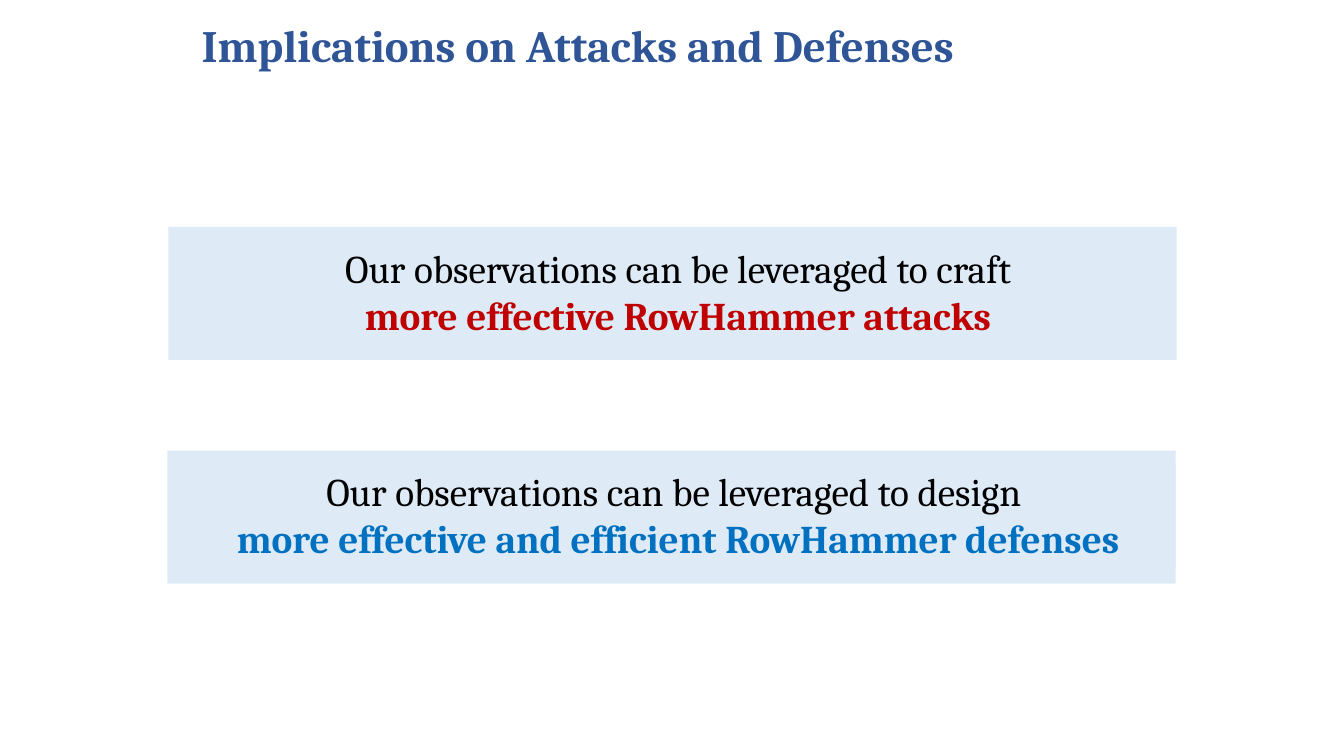
from pptx import Presentation
from pptx.dml.color import RGBColor
from pptx.enum.shapes import MSO_SHAPE as SHAPE
from pptx.enum.text import MSO_ANCHOR as ANCHOR, MSO_AUTO_SIZE as AUTO, PP_ALIGN as ALIGN
from pptx.util import Inches, Pt


def rgb(color):
    return RGBColor.from_string(color)


class SlideBuilder:
    FONT = "Cambria"
    PANEL = "DEEBF7"
    TITLE = "2F5597"
    TEXT = "000000"

    def __init__(self, prs):
        self.s = prs.slides.add_slide(prs.slide_layouts[5])

    def run(self, p, text, size, color, bold=False):
        r = p.add_run()
        r.text = text
        style = {"name": self.FONT, "size": Pt(size), "bold": bold}
        for name, value in style.items():
            setattr(r.font, name, value)
        r.font.color.rgb = rgb(color)

    def title(self, text, left, top, width, height):
        sp = self.s.shapes.title
        place = {"left": left, "top": top, "width": width, "height": height}
        for name, value in place.items():
            setattr(sp, name, Inches(value))
        tf = sp.text_frame
        frame = {"word_wrap": True, "auto_size": AUTO.NONE, "vertical_anchor": ANCHOR.MIDDLE}
        for name, value in frame.items():
            setattr(tf, name, value)
        p = tf.paragraphs[0]
        p.alignment = ALIGN.LEFT
        p.space_after = Pt(6)
        self.run(p, text, 32, self.TITLE, bold=True)

    def rect(self, group, left, top, width, height):
        sp = group.shapes.add_shape(SHAPE.RECTANGLE, *map(Inches, (left, top, width, height)))
        sp.shadow.inherit = False
        sp.fill.solid()
        sp.fill.fore_color.rgb = rgb(self.PANEL)
        sp.line.fill.background()
        return sp

    def panel(self, left, top, lead, claim, color, one_paragraph=False):
        """Group a background panel with a two-line message, split by a paragraph or a line break."""
        group = self.s.shapes.add_group_shape()
        self.rect(group, left, top, 10, 1.32)
        tf = self.rect(group, 1.79, top + 0.12, 9.87, 1.04).text_frame
        frame = {"word_wrap": True, "auto_size": AUTO.SHAPE_TO_FIT_TEXT,
                 "vertical_anchor": ANCHOR.TOP}
        for name, value in frame.items():
            setattr(tf, name, value)
        p = tf.paragraphs[0]
        self.run(p, lead, 28, self.TEXT)
        if one_paragraph:
            p.add_line_break()
        else:
            p = tf.add_paragraph()
        self.run(p, claim, 28, color, bold=True)
        for p in tf.paragraphs:
            p.alignment = ALIGN.CENTER


def main():
    prs = Presentation()
    prs.slide_width, prs.slide_height = Inches(13.33), Inches(7.5)
    slide = SlideBuilder(prs)
    slide.title("Implications on Attacks and Defenses", 1.9, 0.09, 9.31, 0.7)
    slide.panel(1.67, 2.25, "Our observations can be leveraged to craft",
                "more effective RowHammer attacks", "C00000")
    slide.panel(1.66, 4.47, "Our observations can be leveraged to design ",
                "more effective and efficient RowHammer defenses", "0070C0", one_paragraph=True)
    prs.save("out.pptx")


if __name__ == "__main__":
    main()
